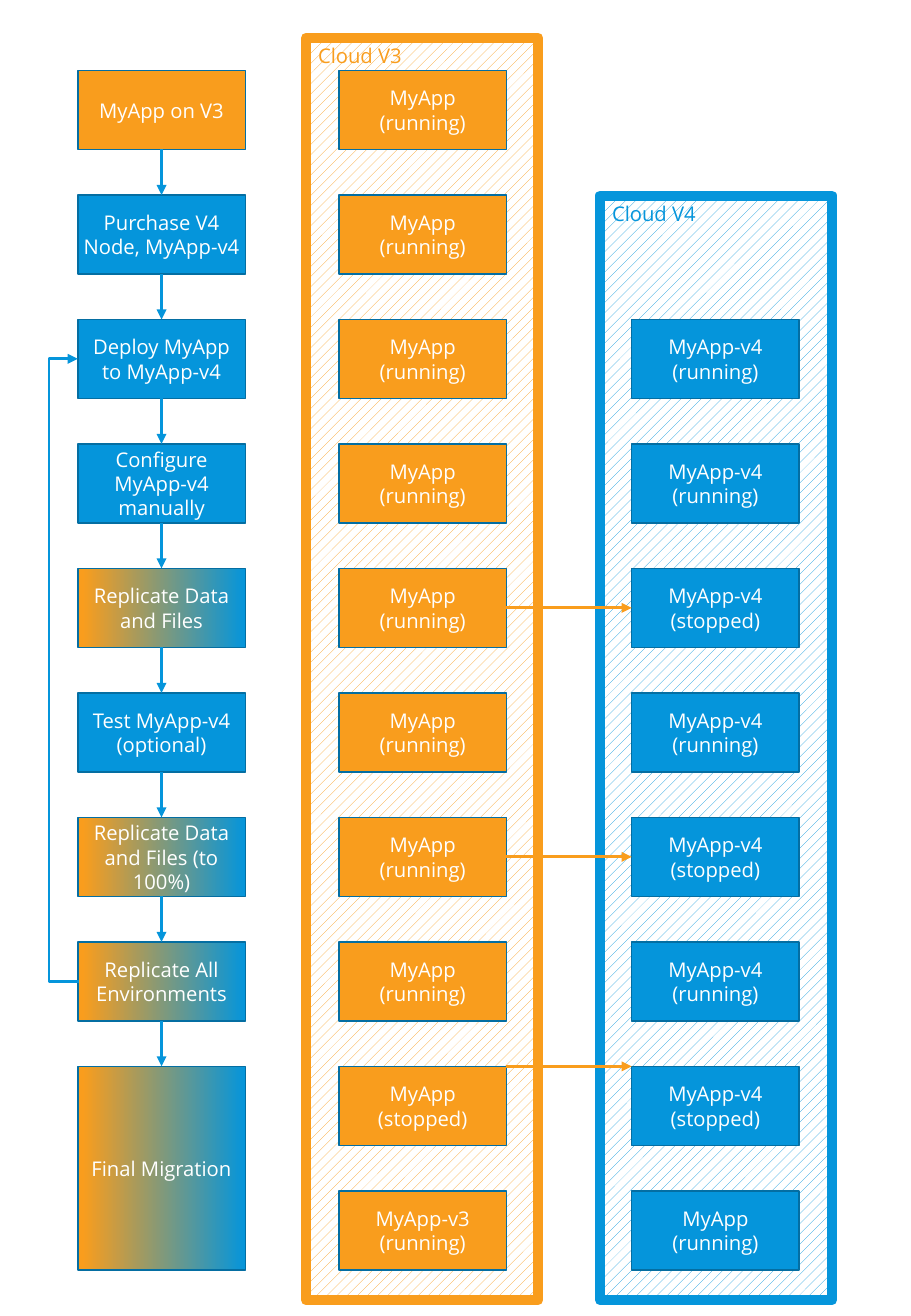
"""Build the slide that shows MyApp moving from Cloud V3 to Cloud V4."""
from lxml import etree
from pptx import Presentation
from pptx.dml.color import RGBColor
from pptx.enum.dml import MSO_PATTERN
from pptx.enum.shapes import MSO_CONNECTOR, MSO_SHAPE
from pptx.enum.text import MSO_ANCHOR, PP_ALIGN
from pptx.oxml.ns import qn
from pptx.util import Inches, Pt

BOX = MSO_SHAPE.FLOWCHART_PROCESS
LINE, BENT = MSO_CONNECTOR.STRAIGHT, MSO_CONNECTOR.ELBOW
DOTS = MSO_PATTERN.PERCENT_20
MID, TOP = MSO_ANCHOR.MIDDLE, MSO_ANCHOR.TOP
LEFT, CENTER = PP_ALIGN.LEFT, PP_ALIGN.CENTER
ORANGE, BLUE, EDGE, WHITE = "F99D1D", "0595DB", "046EA2", "FFFFFF"
MIX, HATCH = "mix", "hatch"
color = RGBColor.from_string

WIDE, HIGH = 1.38, 0.65
STEP_X, OLD_X, NEW_X = 0.64, 2.79, 5.2
rows = [0.58 + i * (9.8 - 0.58) / 9 for i in range(10)]

deck = Presentation()
deck.slide_width, deck.slide_height = Inches(7.5), Inches(10.83)
slide = deck.slides.add_slide(deck.slide_layouts[6])


def add_box(x, y, w, h, lines, paint, edge=EDGE):
    """Add a filled box with one paragraph for each line."""
    box = slide.shapes.add_shape(BOX, Inches(x), Inches(y), Inches(w), Inches(h))
    box.shadow.inherit = False
    fill, cloud = box.fill, paint == HATCH
    if cloud:
        fill.patterned()
        fill.pattern = DOTS
        fill.fore_color.rgb, fill.back_color.rgb = color(edge), color(WHITE)
    elif paint == MIX:
        fill.gradient()
        fill.gradient_angle = 0
        for stop, at, tint in zip(fill.gradient_stops, (0.03, 1), (ORANGE, BLUE)):
            stop.position, stop.color.rgb = at, color(tint)
    else:
        fill.solid()
        fill.fore_color.rgb = color(paint)
    box.line.color.rgb = color(edge)
    box.line.width = Pt(6 if cloud else 1)
    frame = box.text_frame
    frame.word_wrap = True
    frame.vertical_anchor = TOP if cloud else MID
    if not cloud:
        frame.margin_left = frame.margin_right = Inches(0.04)
        frame.margin_top = frame.margin_bottom = Inches(0.04)
    for i, line in enumerate(lines):
        para = frame.add_paragraph() if i else frame.paragraphs[0]
        para.alignment = LEFT if cloud else CENTER
        run = para.add_run()
        run.text = line
        run.font.size, run.font.name = Pt(12), "Open Sans"
        run.font.color.rgb = color(edge if cloud else WHITE)
    return box


def add_arrow(x1, y1, x2, y2, tint, kind=LINE):
    """Add a connector with a triangle at its end."""
    arrow = slide.shapes.add_connector(
        kind, Inches(x1), Inches(y1), Inches(x2), Inches(y2))
    arrow.line.color.rgb = color(tint)
    arrow.line.width = Pt(1.75)
    etree.SubElement(arrow.line._get_or_add_ln(), qn("a:tailEnd"), type="triangle")
    etree.SubElement(arrow._element.spPr, qn("a:effectLst"))
    return arrow


steps = [
    (["MyApp on V3"], ORANGE),
    (["Purchase V4 Node, MyApp-v4"], BLUE),
    (["Deploy MyApp to MyApp-v4"], BLUE),
    (["Configure MyApp-v4 manually"], BLUE),
    (["Replicate Data and Files"], MIX),
    (["Test MyApp-v4", "(optional)"], BLUE),
    (["Replicate Data and Files (to 100%)"], MIX),
    (["Replicate All Environments"], MIX),
    (["Final Migration"], MIX),
]
last = None
for y, (lines, paint) in zip(rows, steps):
    tall = rows[9] + HIGH - y if y == rows[8] else HIGH
    step = add_box(STEP_X, y, WIDE, tall, lines, paint)
    if last:
        mid = STEP_X + WIDE / 2
        down = add_arrow(mid, y - 0.38, mid, y, BLUE)
        down.begin_connect(last, 2)
        down.end_connect(step, 0)
    last = step

loop = add_arrow(STEP_X + 0.01, rows[7] + HIGH / 2, STEP_X, rows[2] + HIGH / 2, BLUE, BENT)
shape = loop._element.spPr.find(qn("a:prstGeom"))
bends = shape.find(qn("a:avLst"))
if bends is None:
    bends = etree.SubElement(shape, qn("a:avLst"))
etree.SubElement(bends, qn("a:gd"), name="adj1", fmla="val 2500000")

add_box(2.52, 0.31, 1.91, 10.39, ["Cloud V3"], HATCH, ORANGE)
add_box(4.94, 1.61, 1.91, 9.09, ["Cloud V4"], HATCH, BLUE)

for i, y in enumerate(rows):
    end = i == 9
    state = "(stopped)" if i == 8 else "(running)"
    add_box(OLD_X, y, WIDE, HIGH, ["MyApp-v3" if end else "MyApp", state], ORANGE)
    if i >= 2:
        state = "(stopped)" if i in (4, 6, 8) else "(running)"
        add_box(NEW_X, y, WIDE, HIGH, ["MyApp" if end else "MyApp-v4", state], BLUE)

for y in (rows[4] + HIGH / 2, rows[6] + HIGH / 2, rows[8]):
    add_arrow(OLD_X + WIDE, y, NEW_X, y, ORANGE)

deck.save("out.pptx")
